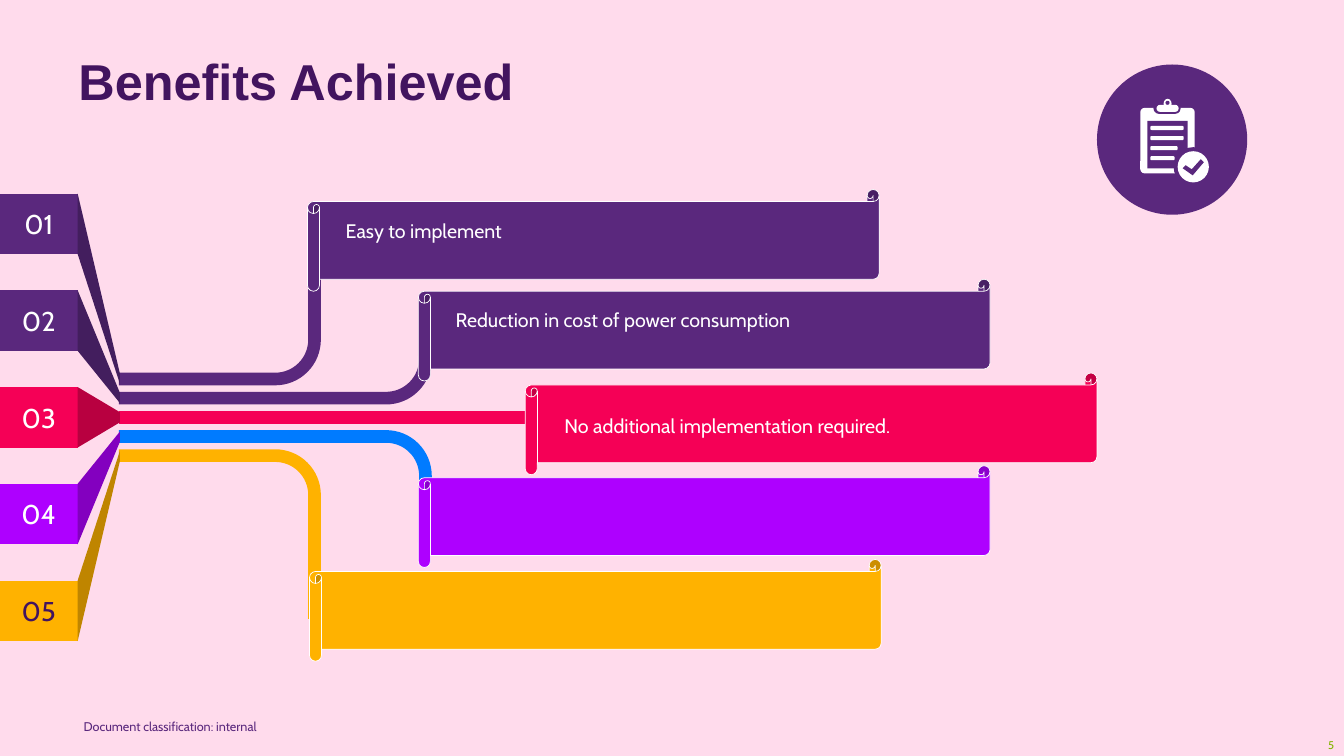
from math import cos, pi, sin
from lxml.etree import SubElement
from pptx import Presentation
from pptx.dml.color import RGBColor
from pptx.enum.shapes import MSO_CONNECTOR, MSO_SHAPE
from pptx.enum.text import MSO_ANCHOR, PP_ALIGN
from pptx.oxml.ns import qn
from pptx.util import Inches, Pt

PINK = RGBColor(0xFF, 0xDB, 0xEC)
WHITE = RGBColor(0xFF, 0xFF, 0xFF)
PLUM = RGBColor(0x42, 0x14, 0x5F)
GRAPE = RGBColor(0x5A, 0x28, 0x7D)
DUSK = RGBColor(0x43, 0x1E, 0x5E)
RED = RGBColor(0xF5, 0x00, 0x56)
WINE = RGBColor(0xB8, 0x00, 0x40)
MAUVE = RGBColor(0xAE, 0x00, 0xFF)
VIOLET = RGBColor(0x83, 0x00, 0xBF)
GOLD = RGBColor(0xFF, 0xB2, 0x00)
OCHRE = RGBColor(0xBF, 0x85, 0x00)
BLUE = RGBColor(0x00, 0x7B, 0xFF)
GREEN = RGBColor(0x82, 0xB4, 0x00)


class Board:
    font = "Cabin"
    stroke = 9
    bend = 0.39

    def __init__(self, slide):
        self.slide = slide
        self.shapes = slide.shapes
        fill = slide.background.fill
        fill.solid()
        fill.fore_color.rgb = PINK

    def paint(self, shape, color):
        shape.shadow.inherit = False
        shape.fill.solid()
        shape.fill.fore_color.rgb = color
        shape.line.fill.background()
        return shape

    def label(self, frame, words, size, color, font=font, bold=False, align=PP_ALIGN.LEFT, space=1.0):
        frame.word_wrap = True
        frame.text = words
        line = frame.paragraphs[0]
        line.alignment = align
        line.line_spacing = space
        style = line.runs[0].font
        style.name = font
        style.size = Pt(size)
        style.bold = bold
        style.color.rgb = color

    def text(self, left, top, width, height, words, size, color, **look):
        box = self.shapes.add_textbox(Inches(left), Inches(top), Inches(width), Inches(height))
        self.label(box.text_frame, words, size, color, **look)

    def shape(self, kind, left, top, width, height, color, round=None):
        item = self.shapes.add_shape(kind, Inches(left), Inches(top), Inches(width), Inches(height))
        if round is not None:
            item.adjustments[0] = round
        return self.paint(item, color)

    def trace(self, points, close):
        spots = [(Inches(x), Inches(y)) for x, y in points]
        form = self.shapes.build_freeform(*spots[0])
        form.add_line_segments(spots[1:], close=close)
        return form.convert_to_shape()

    def solid(self, points, color):
        return self.paint(self.trace(points, True), color)

    def pipe(self, left, top, right, end, color):
        way = 1 if end > top else -1
        points = [(left, top)]
        for step in range(17):
            turn = pi / 2 * step / 16
            points.append((right - self.bend + self.bend * sin(turn),
                           top + way * self.bend * (1 - cos(turn))))
        points.append((right, end))
        tube = self.trace(points, False)
        tube.shadow.inherit = False
        tube.fill.background()
        tube.line.color.rgb = color
        tube.line.width = Pt(self.stroke)

    def line(self, left, top, right, color):
        bar = self.shapes.add_connector(MSO_CONNECTOR.STRAIGHT, Inches(left), Inches(top),
                                        Inches(right), Inches(top))
        bar.line.color.rgb = color
        bar.line.width = Pt(self.stroke)
        SubElement(bar._element.spPr, qn("a:effectLst"))

    def scroll(self, left, top, color):
        roll = self.shape(MSO_SHAPE.HORIZONTAL_SCROLL, left, top, 5.67, 1.01, color, 0.118)
        roll.line.color.rgb = WHITE
        roll.line.width = Pt(0.5)

    def badge(self, top, words, color, ink):
        tag = self.solid([(0, top), (0.77, top), (0.77, top + 0.6), (0, top + 0.6)], color)
        frame = tag.text_frame
        frame.margin_left = frame.margin_right = frame.margin_top = frame.margin_bottom = 0
        frame.vertical_anchor = MSO_ANCHOR.MIDDLE
        self.label(frame, words, 19.4, ink, align=PP_ALIGN.CENTER)

    def wedge(self, top, tip, color):
        self.solid([(0.77, top), (1.19, tip), (1.19, tip + 0.1), (0.77, top + 0.6)], color)

    def icon(self):
        pill, disc = MSO_SHAPE.ROUNDED_RECTANGLE, MSO_SHAPE.OVAL
        self.shape(disc, 10.88, 0.64, 1.49, 1.49, GRAPE)
        self.shape(pill, 11.31, 1.07, 0.54, 0.65, WHITE, 0.08)
        self.shape(MSO_SHAPE.RECTANGLE, 11.38, 1.2, 0.4, 0.47, GRAPE)
        for row, width in enumerate((0.33, 0.33, 0.27, 0.24)):
            self.shape(pill, 11.41, 1.25 + 0.1 * row, width, 0.04, WHITE, 0.3)
        self.shape(pill, 11.44, 1.02, 0.27, 0.11, GRAPE, 0.5)
        self.shape(pill, 11.47, 1.04, 0.22, 0.07, WHITE, 0.5)
        self.shape(disc, 11.54, 0.98, 0.08, 0.1, WHITE)
        self.shape(disc, 11.56, 1.0, 0.04, 0.04, GRAPE)
        self.shape(disc, 11.64, 1.46, 0.39, 0.39, GRAPE)
        self.shape(disc, 11.68, 1.5, 0.31, 0.31, WHITE)
        self.solid([(11.73, 1.67), (11.76, 1.64), (11.82, 1.68), (11.91, 1.58),
                    (11.94, 1.61), (11.83, 1.74)], GRAPE)


def main():
    deck = Presentation()
    deck.slide_width, deck.slide_height = Inches(13.33), Inches(7.5)
    board = Board(deck.slides.add_slide(deck.slide_layouts[6]))
    board.text(0.73, 7.08, 2.08, 0.25, "Document classification: internal", 9, GRAPE)
    board.text(12.93, 7.28, 0.4, 0.25, "5", 8, GREEN, align=PP_ALIGN.RIGHT)
    board.text(0.68, 0.54, 11.7, 1.03, "Benefits Achieved", 36, PLUM,
               font="Arial", bold=True, space=0.85)

    pipes = [(3.12, 2.17, GRAPE), (4.22, 3.06, GRAPE), (5.27, None, RED),
             (4.22, 5.31, BLUE), (3.12, 6.14, GOLD)]
    for row, (right, end, color) in enumerate(pipes):
        top = 3.76 + 0.19 * row
        if end is None:
            board.line(1.18, top, right, color)
        else:
            board.pipe(1.18, top, right, end, color)

    board.scroll(3.07, 5.55, GOLD)
    tags = [(GRAPE, DUSK, WHITE), (GRAPE, DUSK, WHITE), (RED, WINE, WHITE),
            (MAUVE, VIOLET, WHITE), (GOLD, OCHRE, PLUM)]
    for row, (color, shade, ink) in enumerate(tags):
        top = 1.92 + 0.96 * row
        board.badge(top, f"{row + 1:02}", color, ink)
        board.wedge(top, 3.71 + 0.19 * row, shade)

    for left, top, color in [(3.05, 1.88, GRAPE), (4.15, 2.77, GRAPE),
                             (4.15, 4.62, MAUVE), (5.21, 3.7, RED)]:
        board.scroll(left, top, color)
    for left, top, words in [(3.33, 2.1, "Easy to implement"),
                             (4.42, 2.98, "Reduction in cost of power consumption"),
                             (5.5, 4.03, "No additional implementation required.")]:
        board.text(left, top, 5.15, 0.34, words, 14, WHITE, space=1.1)
    board.icon()
    deck.save("out.pptx")


if __name__ == "__main__":
    main()
